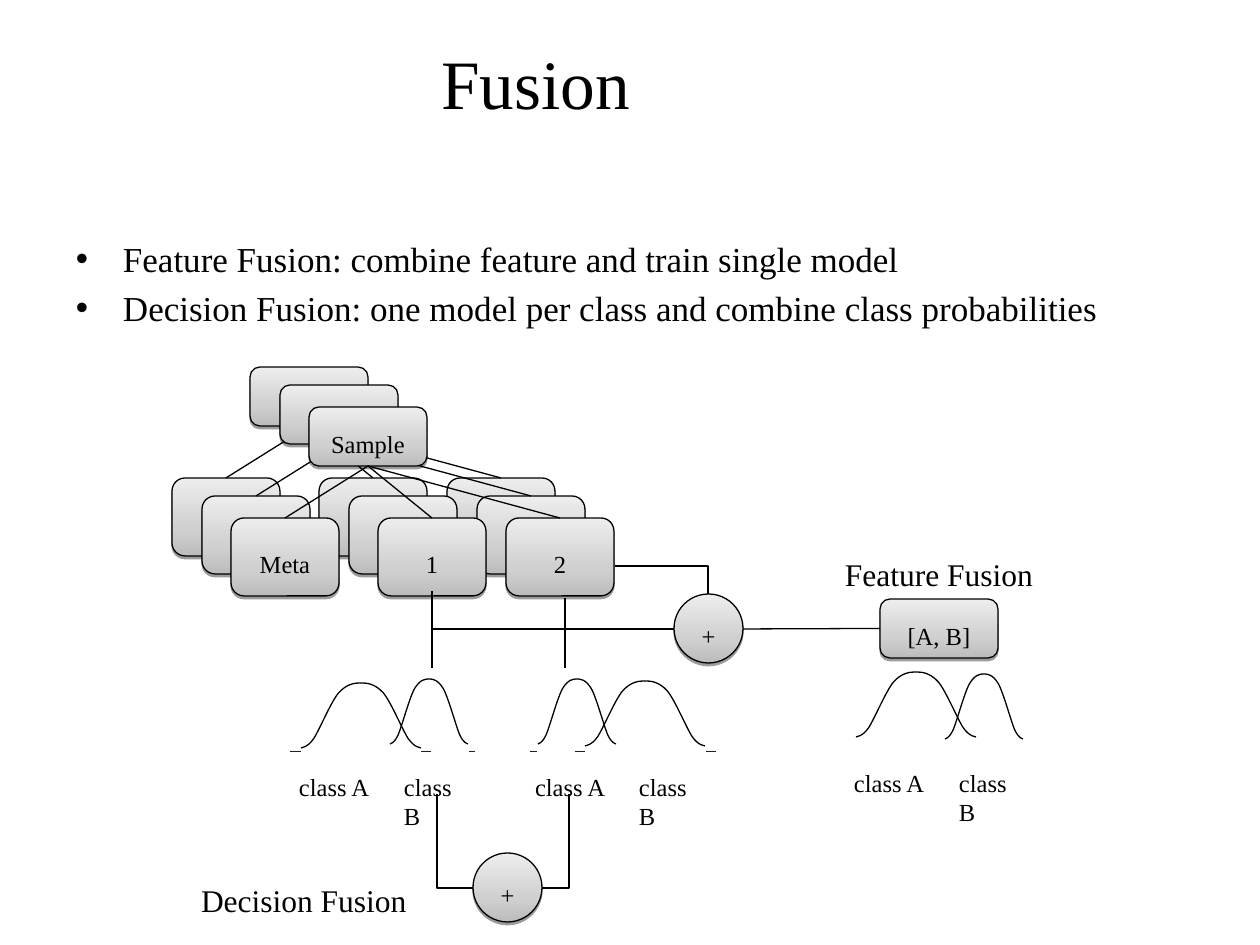
from copy import deepcopy
from dataclasses import dataclass

from lxml.etree import SubElement
from pptx import Presentation
from pptx.dml.color import RGBColor
from pptx.enum.shapes import MSO_CONNECTOR, MSO_SHAPE
from pptx.enum.text import MSO_ANCHOR, MSO_AUTO_SIZE, PP_ALIGN
from pptx.oxml.ns import qn
from pptx.util import Emu, Pt


@dataclass(frozen=True)
class Theme:
    font: str = "Times New Roman"
    black: str = "000000"
    white: str = "FFFFFF"
    gradient: tuple = ((0, "BCBCBC"), (0.35, "D0D0D0"), (1, "EDEDED"))
    title: float = 39.6
    body: float = 20
    caption: float = 18
    label: float = 14
    line: float = 0.75


THEME = Theme()
PIXEL = 914400 / 126
SLIDE_SIZE = (1260, 945)
TITLE = ("Fusion", (168, 38, 735, 88))
BULLETS = [
    "Feature Fusion: combine feature and train single model",
    "Decision Fusion: one model per class and combine class probabilities",
]
BODY_BOX = (63, 231, 1134, 136)
BULLET_INDENT = 47

SAMPLE = ("Sample", 250, 367)
FEATURES = [("Meta", 172, 478), ("1", 319, 478), ("2", 447, 478)]
LAYERS = [
    {"offset": (0, 0), "linked": ("Meta", "1", "2"), "labelled": False},
    {"offset": (30, 18), "linked": ("Meta", "2"), "labelled": False},
    {"offset": (59, 40), "linked": ("Meta", "1", "2"), "labelled": True},
]
SAMPLE_SIZE = (118, 59)
FEATURE_SIZE = (108, 78)

CAPTIONS = [("Feature Fusion", (832, 535, 216, 64)), ("Decision Fusion", (188, 861, 233, 64))]
COMBINED = ("[A, B]", (880, 599, *SAMPLE_SIZE))
PLUS_BOXES = [(674, 594, 69, 69), (473, 853, 69, 69)]
LABEL_HEIGHT = 57
BELL_HEIGHT = 65
WIDE, NARROW = 60, 39
CLASS_CHARTS = [
    {
        "bells": [(945, 674, NARROW), (856, 672, WIDE)],
        "ticks": [],
        "labels": [("class A", 841, 748, 96), ("class B", 946, 748, 93)],
        "fill": None,
    },
    {
        "bells": [(390, 679, NARROW), (301, 683, WIDE)],
        "ticks": [(290, 301), (421, 431), (469, 475)],
        "labels": [("class A", 286, 752, 96), ("class B", 391, 752, 93)],
        "fill": THEME.white,
    },
    {
        "bells": [(538, 679, NARROW), (585, 681, WIDE)],
        "ticks": [(530, 537), (575, 585), (706, 716)],
        "labels": [("class A", 522, 752, 96), ("class B", 626, 752, 93)],
        "fill": THEME.white,
    },
]
TICK_TOP = 752
HALF_BELL_START = (0, 1)
HALF_BELL_CURVES = [
    ((0.02, 0.99), (0.1, 1), (0.21, 0.86)),
    ((0.31, 0.72), (0.5, 0.29), (0.63, 0.15)),
    ((0.77, 0.01), (0.9, 0), (1, 0)),
]
STRAIGHT_LINES = [((432, 591), (432, 668)), ((565, 598), (565, 668))]
BENDS = [
    ((674, 629), (432, 606)),
    ((615, 566), (708, 594)),
    ((473, 888), (437, 794)),
    ((542, 888), (569, 794)),
]


def px(value):
    return Emu(round(value * PIXEL))


def place(box):
    return [px(value) for value in box]


def write(shape, text, size=THEME.label, align=PP_ALIGN.LEFT, anchor=MSO_ANCHOR.TOP,
          wrap=False, insets=(13, 20, 13, 6), indent=None):
    frame = shape.text_frame
    frame.auto_size = MSO_AUTO_SIZE.NONE
    frame.word_wrap = wrap
    frame.vertical_anchor = anchor
    (frame.margin_left, frame.margin_top,
     frame.margin_right, frame.margin_bottom) = place(insets)
    frame.text = text
    for paragraph in frame.paragraphs:
        if indent:
            properties = paragraph._p.get_or_add_pPr()
            properties.set("marL", str(px(indent)))
            properties.set("indent", str(-px(indent)))
            SubElement(properties, qn("a:buChar"), char="•")
        paragraph.alignment = align
        paragraph.font.name = THEME.font
        paragraph.font.size = Pt(size)
        paragraph.font.color.rgb = RGBColor.from_string(THEME.black)


def add_shadow(effects, blur=0):
    shadow = SubElement(effects, qn("a:outerShdw"), blurRad=str(Pt(blur)),
                        dist=str(Pt(1.6)), dir="5400000", rotWithShape="0")
    color = SubElement(shadow, qn("a:srgbClr"), val=THEME.black)
    SubElement(color, qn("a:alpha"), val="38000")


def style_line(line):
    line.color.rgb = RGBColor.from_string(THEME.black)
    line.width = Pt(THEME.line)


def add_node(shapes, kind, box, text=""):
    shape = shapes.add_shape(kind, *place(box))
    shape.fill.gradient()
    shape.fill.gradient_angle = 90
    stop_list = shape._element.spPr.find(".//" + qn("a:gsLst"))
    stop_list.append(deepcopy(stop_list[0]))
    for stop, (position, color) in zip(shape.fill.gradient_stops, THEME.gradient):
        stop.position = position
        stop.color.rgb = RGBColor.from_string(color)
    style_line(shape.line)
    shape.shadow.inherit = False
    add_shadow(shape._element.spPr.find(qn("a:effectLst")))
    if text:
        write(shape, text, align=PP_ALIGN.CENTER, anchor=MSO_ANCHOR.MIDDLE)
    return shape


def add_line(shapes, start=(0, 0), end=(0, 0), bent=False, shadow=False):
    kind = MSO_CONNECTOR.ELBOW if bent else MSO_CONNECTOR.STRAIGHT
    connector = shapes.add_connector(kind, *place(start + end))
    style_line(connector.line)
    properties = connector._element.spPr
    if bent:
        properties.find(qn("a:prstGeom")).set("prst", "bentConnector2")
    effects = SubElement(properties, qn("a:effectLst"))
    if shadow:
        add_shadow(effects, blur=3.1)
    return connector


def add_label(shapes, text, box, fill=None, **text_format):
    label = shapes.add_textbox(*place(box))
    if fill:
        label.fill.solid()
        label.fill.fore_color.rgb = RGBColor.from_string(fill)
    write(label, text, **text_format)


def add_half_bell(shapes, origin, top, signed_width):
    def locate(point):
        return px(origin + signed_width * point[0]), px(top + BELL_HEIGHT * point[1])

    builder = shapes.build_freeform(*locate(HALF_BELL_START), scale=1)
    builder.add_line_segments([locate(curve[-1]) for curve in HALF_BELL_CURVES], close=False)
    shape = builder.convert_to_shape()
    outline = shape._element.spPr.find(".//" + qn("a:path"))
    for segment in outline.findall(qn("a:lnTo")):
        outline.remove(segment)
    for curve in HALF_BELL_CURVES:
        segment = SubElement(outline, qn("a:cubicBezTo"))
        for x, y in map(locate, curve):
            SubElement(segment, qn("a:pt"), x=str(x - shape.left), y=str(y - shape.top))
    shape.fill.background()
    style_line(shape.line)
    shape.shadow.inherit = False


def add_layer(shapes, layer):
    def node(item, size):
        text, left, top = item
        box = (left + layer["offset"][0], top + layer["offset"][1], *size)
        return add_node(shapes, MSO_SHAPE.ROUNDED_RECTANGLE, box,
                        text if layer["labelled"] else "")

    sample = node(SAMPLE, SAMPLE_SIZE)
    for item in FEATURES:
        feature = node(item, FEATURE_SIZE)
        if item[0] in layer["linked"]:
            link = add_line(shapes)
            link.begin_connect(sample, 2)
            link.end_connect(feature, 0)


def add_class_chart(shapes, chart):
    for left, top, half_width in chart["bells"]:
        add_half_bell(shapes, left, top, half_width)
        add_half_bell(shapes, left + 2 * half_width, top, -half_width)
    for start, end in chart["ticks"]:
        add_line(shapes, (start, TICK_TOP), (end, TICK_TOP), shadow=True)
    for text, left, top, width in chart["labels"]:
        add_label(shapes, text, (left, top, width, LABEL_HEIGHT), chart["fill"],
                  wrap=text == "class B")


def main():
    presentation = Presentation()
    presentation.slide_width, presentation.slide_height = place(SLIDE_SIZE)
    slide = presentation.slides.add_slide(presentation.slide_layouts[1])
    shapes = slide.shapes
    title, body = shapes.title, slide.placeholders[1]
    title.left, title.top, title.width, title.height = place(TITLE[1])
    write(title, TITLE[0], size=THEME.title, align=PP_ALIGN.CENTER,
          anchor=MSO_ANCHOR.MIDDLE, wrap=True, insets=(13, 6, 13, 6))
    body.left, body.top, body.width, body.height = place(BODY_BOX)
    write(body, "\n".join(BULLETS), size=THEME.body, wrap=True,
          insets=(13, 6, 13, 6), indent=BULLET_INDENT)

    for layer in LAYERS:
        add_layer(shapes, layer)
    for text, box in CAPTIONS:
        add_label(shapes, text, box, size=THEME.caption)
    combined = add_node(shapes, MSO_SHAPE.ROUNDED_RECTANGLE, COMBINED[1], COMBINED[0])
    for box in PLUS_BOXES:
        add_node(shapes, MSO_SHAPE.OVAL, box, "+")
    add_line(shapes, (743, 629)).end_connect(combined, 1)
    for chart in CLASS_CHARTS:
        add_class_chart(shapes, chart)
    for start, end in STRAIGHT_LINES:
        add_line(shapes, start, end)
    for start, end in BENDS:
        add_line(shapes, start, end, bent=True)
    presentation.save("out.pptx")


if __name__ == "__main__":
    main()
